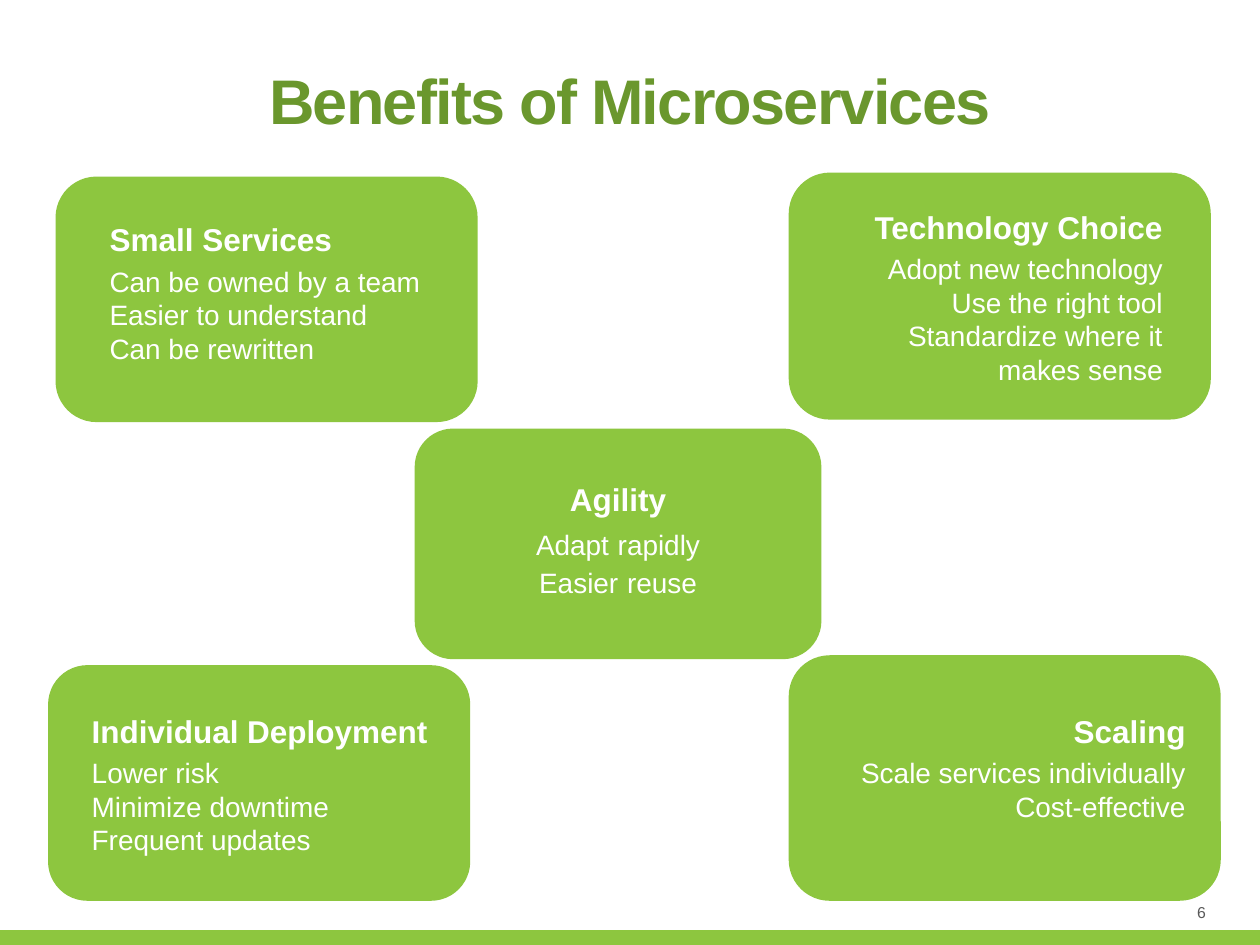
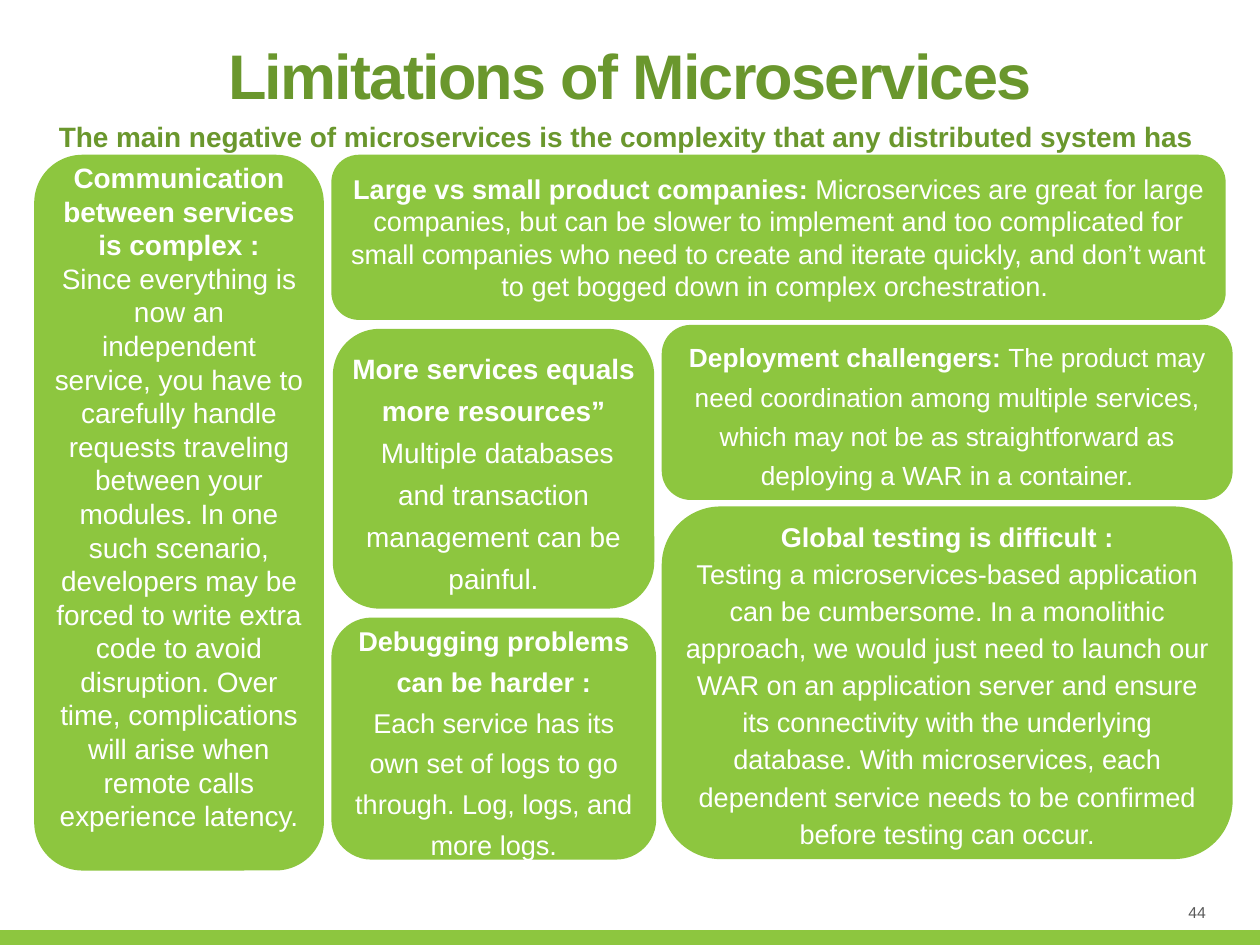
from pptx import Presentation
from pptx.dml.color import RGBColor
from pptx.enum.shapes import MSO_SHAPE
from pptx.enum.text import MSO_ANCHOR, PP_ALIGN
from pptx.util import Cm, Pt

LIME = RGBColor(0x8D, 0xC6, 0x3F)
DARK_GREEN = RGBColor(0x6A, 0x97, 0x2D)
GREY = RGBColor(0x59, 0x59, 0x59)
WHITE = RGBColor(0xFF, 0xFF, 0xFF)
FONT = "Arial"
LEFT, CENTER, RIGHT = PP_ALIGN.LEFT, PP_ALIGN.CENTER, PP_ALIGN.RIGHT

deck = Presentation()
deck.slide_width = Cm(25.4)
deck.slide_height = Cm(19.05)


def add_block(slide, at, paragraphs=(), preset=None, align=CENTER, colour=WHITE,
              inset=(0.1, 0.1), anchor=MSO_ANCHOR.TOP, line_spacing=None):
    """Add a lime preset shape, or a text box when preset is None.

    Each paragraph is a list of (text, size, bold) runs.
    """
    box = [Cm(length) for length in at]
    if preset is None:
        block = slide.shapes.add_textbox(*box)
    else:
        block = slide.shapes.add_shape(preset, *box)
        block.shadow.inherit = False
        block.fill.solid()
        block.fill.fore_color.rgb = LIME
        block.line.fill.background()
    frame = block.text_frame
    frame.word_wrap = True
    frame.vertical_anchor = anchor
    frame.margin_left = frame.margin_right = Cm(inset[0])
    frame.margin_top = frame.margin_bottom = Cm(inset[1])
    for index, runs in enumerate(paragraphs):
        paragraph = frame.add_paragraph() if index else frame.paragraphs[0]
        paragraph.alignment = align
        if line_spacing:
            paragraph.line_spacing = line_spacing
        for text, size, bold in runs:
            run = paragraph.add_run()
            run.text = text
            run.font.name = FONT
            run.font.size = Pt(size)
            run.font.bold = bold
            run.font.color.rgb = colour
    return frame


def add_titled_slide(title, title_top, number):
    slide = deck.slides.add_slide(deck.slide_layouts[6])
    add_block(slide, (0, 18.75, 25.4, 0.3), preset=MSO_SHAPE.RECTANGLE)
    add_block(slide, (23.01, 18.14, 1.3, 0.5), [[(number, 9, False)]], align=RIGHT,
              colour=GREY, inset=(0, 0), anchor=MSO_ANCHOR.MIDDLE)
    heading = add_block(slide, (0, title_top, 25.4, 1.8), [[(title, 36, True)]],
                        colour=DARK_GREEN, inset=(0.25, 0.13))
    heading.paragraphs[0].runs[0].font._element.set("spc", "-100")
    return slide


# Benefits: card place, text place, alignment, heading, points
benefits = [
    ((1.12, 3.56, 8.51, 4.95), (2.11, 4.34, 7.52, 3.2), LEFT, "Small Services",
     ["Can be owned by a team", "Easier to understand", "Can be rewritten"]),
    ((15.9, 3.48, 8.51, 4.98), (15.62, 4.09, 7.92, 3.84), RIGHT, "Technology Choice",
     ["Adopt new technology", "Use the right tool", "Standardize where it", "makes sense"]),
    ((0.97, 13.41, 8.51, 4.75), (1.75, 14.25, 7.75, 3.84), LEFT, "Individual Deployment",
     ["Lower risk", "Minimize downtime", "Frequent updates"]),
    ((15.9, 13.21, 8.71, 4.95), (16.08, 14.25, 7.92, 2.46), RIGHT, "Scaling",
     ["Scale services individually", "Cost-effective"]),
]
benefits_slide = add_titled_slide("Benefits of Microservices", 1.12, "6")
for card, text_place, align, heading, points in benefits:
    add_block(benefits_slide, card, preset=MSO_SHAPE.ROUNDED_RECTANGLE)
    frame = add_block(benefits_slide, text_place,
                      [[(heading, 18, True)]] + [[(point, 16, False)] for point in points],
                      align=align)
    frame.paragraphs[0].space_after = Pt(3.5)

# The larger spaces open up the lines of the central card
agility = [[("Agility", 18, True)]] + [
    [(first, 16, False), (" ", 18, False), (second, 16, False)]
    for first, second in [("Adapt", "rapidly"), ("Easier", "reuse")]
]
add_block(benefits_slide, (8.36, 8.64, 8.2, 4.65), preset=MSO_SHAPE.ROUNDED_RECTANGLE)
frame = add_block(benefits_slide, (8.36, 9.58, 8.2, 2.64), agility)
frame.paragraphs[0].space_after = Pt(3.5)

# Limitations: place, text size, line spacing, paragraphs of (text, bold)
communication = (
    (0.69, 3.12, 5.84, 14.43), 16, None,
    [[("Communication between services", True)],
     [("is complex :", True)],
     [("Since everything is now an independent service, you have to carefully handle "
       "requests traveling between your modules. In one such scenario, developers may be "
       "forced to write extra code to avoid disruption. Over time, complications will "
       "arise when remote calls experience latency.", False)]])
resources = (
    (6.71, 6.63, 6.48, 5.64), 16, 1.25,
    [[("More services equals more resources”", True)],
     [(" ", True),
      ("Multiple databases and transaction management can be painful.", False)]])
testing = (
    (13.34, 10.21, 11.51, 7.11), 15.5, 1.14,
    [[("Global testing is difficult :", True)],
     [("Testing a microservices-based application can be cumbersome. In a monolithic "
       "approach, we would just need to launch our WAR on an application server and "
       "ensure its connectivity with the underlying database. With microservices, each "
       "dependent service needs to be confirmed before testing can occur.", False)]])
debugging = (
    (6.68, 12.45, 6.55, 4.88), 15.5, 1.25,
    [[("Debugging problems", True)],
     [("can be harder :", True)],
     [("Each service has its own set of logs to go through. Log, logs, and more logs.",
       False)]])
company_size = (
    (6.68, 3.12, 18.03, 3.33), 15.5, None,
    [[("Large vs small product companies: ", True),
      ("Microservices are great for large companies, but can be slower to implement and "
       "too complicated for small companies who need to create and iterate quickly, and "
       "don’t want to get bogged down in complex orchestration. ", False)]])
deployment = (
    (13.34, 6.55, 11.51, 3.53), 15, 1.25,
    [[("Deployment challengers: ", True),
      ("The product may need coordination among multiple services, which may not be as "
       "straightforward as deploying a WAR in a container.", False)]])

limitations_slide = add_titled_slide("Limitations of Microservices", 0.61, "44")
add_block(limitations_slide, (0, 2.11, 25.4, 1.02),
          [[("The main negative of microservices is the complexity that any distributed "
             "system has ", 16, True)]],
          colour=DARK_GREEN, inset=(0.25, 0.13), line_spacing=1.25)
for limitation in (communication, resources, testing, debugging, company_size, deployment):
    place, size, line_spacing, paragraphs = limitation
    frame = add_block(limitations_slide, place,
                      [[(text, size, bold) for text, bold in runs] for runs in paragraphs],
                      preset=MSO_SHAPE.ROUNDED_RECTANGLE, anchor=MSO_ANCHOR.MIDDLE,
                      line_spacing=line_spacing)
    if limitation is communication:
        frame.margin_bottom = Cm(0.75)

deck.save("out.pptx")
